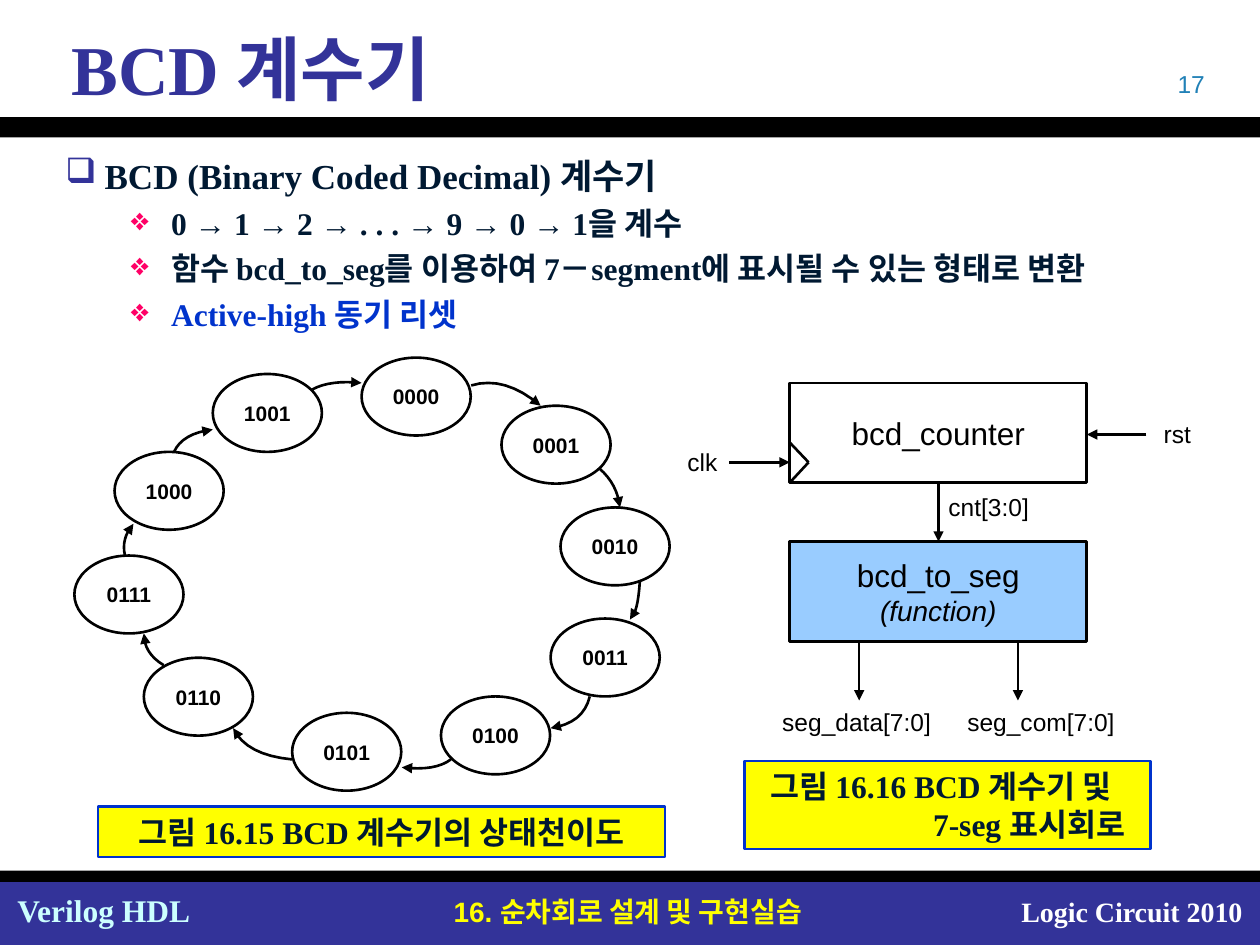
import pptx
import pptx.util
import pptx.dml.color
import pptx.enum.shapes
import pptx.enum.text
import pptx.oxml.ns
import lxml.etree

Cm = pptx.util.Cm
Pt = pptx.util.Pt
RGBColor = pptx.dml.color.RGBColor
Kind = pptx.enum.shapes.MSO_SHAPE
Align = pptx.enum.text.PP_ALIGN
Anchor = pptx.enum.text.MSO_ANCHOR
qn = pptx.oxml.ns.qn

BLACK = RGBColor(0x00, 0x00, 0x00)
WHITE = RGBColor(0xFF, 0xFF, 0xFF)
NAVY = RGBColor(0x33, 0x33, 0x99)
INK = RGBColor(0x00, 0x19, 0x32)
BLUE = RGBColor(0x00, 0x33, 0xCC)
SKY = RGBColor(0x99, 0xCC, 0xFF)
TEAL = RGBColor(0x21, 0x81, 0xB7)
PALE = RGBColor(0xCC, 0xFF, 0xFF)
YELLOW = RGBColor(0xFF, 0xFF, 0x00)
PINK = RGBColor(0xFF, 0x00, 0x66)
SERIF, SANS = "Times New Roman", "Arial"


def add_run(para, text, size, color, face=SANS, bold=False, slant=False):
    run = para.add_run()
    run.text = text
    font = run.font
    font.size, font.name = Pt(size), face
    font.bold, font.italic = bold, slant
    font.color.rgb = color


def label(slide, box, text, size, color, face=SANS, bold=False,
          align=Align.LEFT, wrap=False):
    shape = slide.shapes.add_textbox(*map(Cm, box))
    frame = shape.text_frame
    frame.word_wrap = wrap
    para = frame.paragraphs[0]
    para.alignment = align
    add_run(para, text, size, color, face, bold)
    return shape


def add_shape(slide, kind, box, fill=None, line=None):
    shape = slide.shapes.add_shape(kind, *map(Cm, box))
    shape.shadow.inherit = False
    paint(shape, fill, line)
    frame = shape.text_frame
    frame.vertical_anchor = Anchor.MIDDLE
    frame.word_wrap = False
    frame.paragraphs[0].alignment = Align.CENTER
    return shape


def paint(shape, fill, line):
    if fill is None:
        shape.fill.background()
    else:
        shape.fill.solid()
        shape.fill.fore_color.rgb = fill
    if line is None:
        shape.line.fill.background()
    else:
        shape.line.color.rgb = line
        shape.line.width = Pt(1.5)


def add_tip(shape):
    lxml.etree.SubElement(shape.line._get_or_add_ln(), qn("a:tailEnd"), type="triangle")


def wire(slide, start, end, tip=True):
    line = slide.shapes.add_connector(
        pptx.enum.shapes.MSO_CONNECTOR.STRAIGHT, *map(Cm, start + end))
    line.line.color.rgb = BLACK
    line.line.width = Pt(1.5)
    if tip:
        add_tip(line)
    lxml.etree.SubElement(line._element.spPr, qn("a:effectLst"))


def curve(slide, start, mid, end, steps=8):
    """Draw a curved arrow that passes through mid half way."""
    bend = [2 * m - (s + e) / 2 for s, m, e in zip(start, mid, end)]
    dots = []
    for step in range(steps + 1):
        t = step / steps
        dots.append(tuple(
            Cm((1 - t) ** 2 * s + 2 * t * (1 - t) * b + t * t * e)
            for s, b, e in zip(start, bend, end)))
    pen = slide.shapes.build_freeform(*dots[0])
    pen.add_line_segments(dots[1:], close=False)
    shape = pen.convert_to_shape()
    shape.shadow.inherit = False
    paint(shape, None, BLACK)
    add_tip(shape)


def add_bars(slide, wide):
    # Header rule, footer rule and footer band
    for top, high, color in ((17.78, 1.27, NAVY), (2.36, 0.41, BLACK), (17.55, 0.23, BLACK)):
        add_shape(slide, Kind.RECTANGLE, (0, top, wide, high), color)
    # Footer texts
    left = label(slide, (0.1, 17.83, 4.01, 1.02), "Verilog HDL", 18, PALE, SERIF, True)
    left.text_frame.margin_right = Cm(0.05)
    label(slide, (7.7, 17.91, 9.91, 0.94), "16. 순차회로 설계 및 구현실습",
          16, YELLOW, SANS, True, Align.CENTER, True)
    label(slide, (18.62, 17.91, 6.68, 0.94), "Logic Circuit 2010",
          16, WHITE, SERIF, True, Align.RIGHT, True)


def add_head(slide, x, y):
    title = label(slide, (x, y, 24.56, 1.65), "BCD 계수기", 40, NAVY, SERIF, True, wrap=True)
    title.text_frame.vertical_anchor = Anchor.MIDDLE
    title.text_frame.paragraphs[0]._p.get_or_add_pPr().set("marL", str(Cm(0.76)))
    # Page number
    label(slide, (x + 18.19, y + 0.74, 5.92, 0.84), "17", 14, TEAL, align=Align.RIGHT, wrap=True)


def add_list(slide, box):
    frame = slide.shapes.add_textbox(*map(Cm, box)).text_frame
    frame.word_wrap = True
    rows = (
        (0, "BCD (Binary Coded Decimal) 계수기", INK),
        (1, "0 → 1 → 2 → . . . → 9 → 0 → 1을 계수", INK),
        (1, "함수 bcd_to_seg를 이용하여 7－segment에 표시될 수 있는 형태로 변환", INK),
        (1, "Active-high 동기 리셋", BLUE),
    )
    looks = ((0.79, 0.79, "❑", NAVY, 20), (2.13, 0.81, "❖", PINK, 18))
    for num, (level, text, color) in enumerate(rows):
        margin, hang, mark, tint, size = looks[level]
        para = frame.add_paragraph() if num else frame.paragraphs[0]
        para.level = level
        para.line_spacing = 1.2
        props = para._p.get_or_add_pPr()
        props.set("marL", str(Cm(margin)))
        props.set("indent", str(-Cm(hang)))
        shade = lxml.etree.SubElement(props, qn("a:buClr"))
        lxml.etree.SubElement(shade, qn("a:srgbClr"), val=str(tint))
        lxml.etree.SubElement(props, qn("a:buChar"), char=mark)
        add_run(para, text, size, color, SERIF, True)


def add_states(slide, x, y):
    # Each state in counting order: corner of its ellipse, then start,
    # middle and end of the arrow to the next state
    states = (
        ((5.79, 0), (8, 0.56), (8.69, 0.56), (9.4, 0.97)),
        ((8.61, 0.97), (10.59, 2.24), (10.87, 2.59), (11, 3.02)),
        ((9.8, 3.02), (11.4, 4.5), (11.33, 5.03), (11.2, 5.28)),
        ((9.6, 5.26), (10.39, 6.83), (10.13, 7.26), (9.6, 7.47)),
        ((7.39, 6.83), (7.59, 8.1), (7.19, 8.26), (6.6, 8.26)),
        ((4.39, 7.16), (4.39, 8.1), (3.63, 7.9), (3.2, 7.47)),
        ((1.4, 6.05), (1.8, 6.2), (1.5, 5.92), (1.4, 5.56)),
        ((0, 3.99), (1.02, 3.99), (1.02, 3.66), (1.19, 3.35)),
        ((0.81, 1.9), (2.01, 1.9), (2.29, 1.6), (2.79, 1.45)),
        ((2.79, 0.33), (4.8, 0.64), (5.23, 0.51), (5.79, 0.51)),
    )
    for count, (spot, *path_dots) in enumerate(states):
        oval = add_shape(slide, Kind.OVAL, (x + spot[0], y + spot[1], 2.2, 1.57), line=BLACK)
        add_run(oval.text_frame.paragraphs[0], f"{count:04b}", 12, BLACK, bold=True)
        curve(slide, *((x + dx, y + dy) for dx, dy in path_dots))


def add_blocks(slide, x, y):
    # Counter and decoder
    for top, fill, name in ((0, None, "bcd_counter"), (3.2, SKY, "bcd_to_seg")):
        block = add_shape(slide, Kind.RECTANGLE, (x + 2.31, y + top, 5.99, 2.01), fill, BLACK)
        add_run(block.text_frame.paragraphs[0], name, 18, BLACK)
    para = block.text_frame.add_paragraph()
    para.alignment = Align.CENTER
    add_run(para, "(function)", 16, BLACK, slant=True)
    # Clock notch, then signal wires
    for edge in (1.2, 2.01):
        wire(slide, (x + 2.31, y + edge), (x + 2.69, y + 1.6), False)
    for x1, y1, x2, y2 in ((1.09, 1.6, 2.31, 1.6), (9.5, 1.04, 8.3, 1.04),
                           (5.31, 2.01, 5.31, 3.2), (3.71, 5.21, 3.71, 6.4),
                           (6.91, 5.21, 6.91, 6.4)):
        wire(slide, (x + x1, y + y1), (x + x2, y + y2))
    # Signal names
    for dx, dy, wide, name in ((0, 1.17, 1.15, "clk"), (9.6, 0.61, 1.2, "rst"),
                               (5.26, 2.08, 2.2, "cnt[3:0]"),
                               (1.91, 6.4, 3.6, "seg_data[7:0]"),
                               (5.64, 6.4, 3.6, "seg_com[7:0]")):
        label(slide, (x + dx, y + dy, wide, 0.86), name, 14, BLACK)


def add_note(slide, box, *lines):
    shape = add_shape(slide, Kind.RECTANGLE, box, YELLOW, BLUE)
    frame = shape.text_frame
    frame.word_wrap = True
    for num, text in enumerate(lines):
        para = frame.add_paragraph() if num else frame.paragraphs[0]
        para.alignment = Align.RIGHT if num else Align.CENTER
        add_run(para, text, 18, INK, SERIF, True)
    return frame


def main():
    deck = pptx.Presentation()
    deck.slide_width, deck.slide_height = Cm(25.4), Cm(19.05)
    slide = deck.slides.add_slide(deck.slide_layouts[6])
    add_bars(slide, 25.4)
    add_head(slide, 0.43, 0.53)
    add_list(slide, (1.07, 2.82, 23.5, 4.29))
    add_states(slide, 1.5, 7.21)
    add_blocks(slide, 13.61, 7.72)
    # Captions
    add_note(slide, (1.98, 16.26, 11.43, 1.02), "그림 16.15 BCD 계수기의 상태천이도")
    note = add_note(slide, (15.01, 15.34, 8.18, 1.78), "그림 16.16 BCD 계수기 및", "7-seg 표시회로")
    note.margin_right = Cm(0.51)
    deck.save("out.pptx")


if __name__ == "__main__":
    main()
